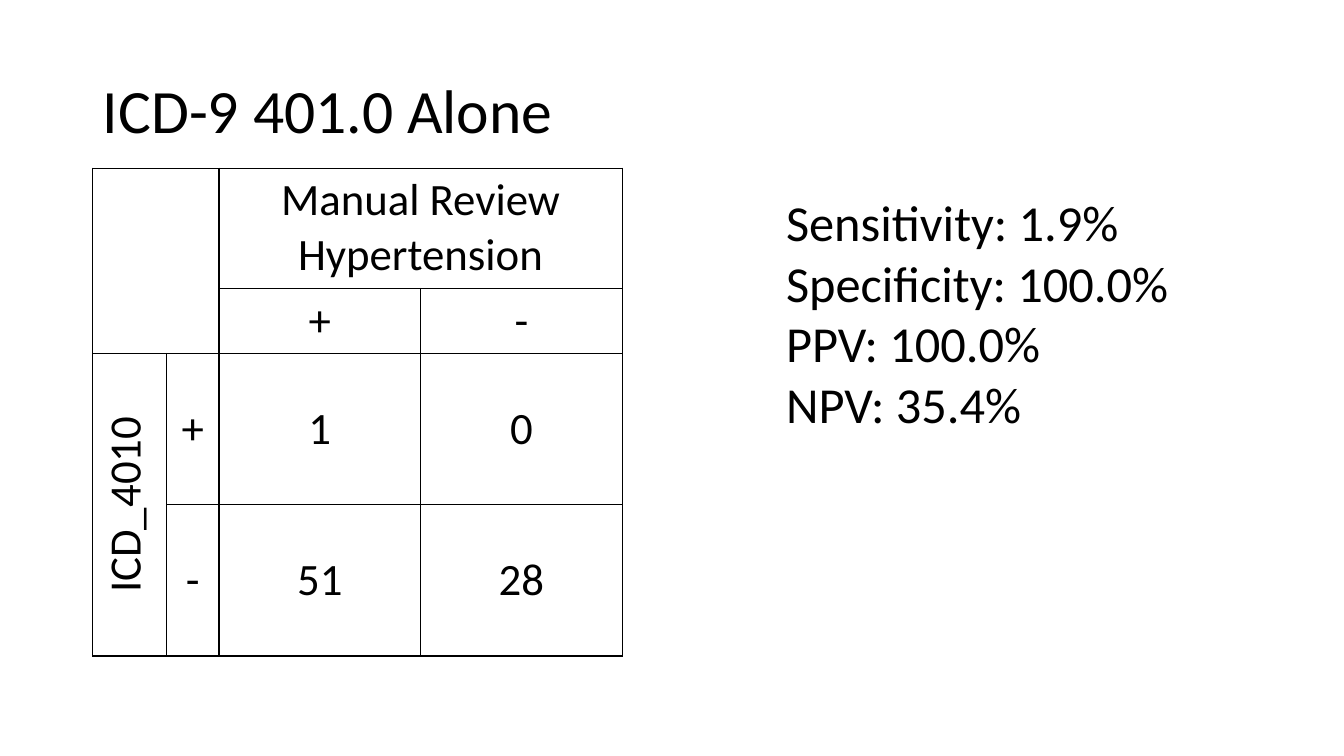
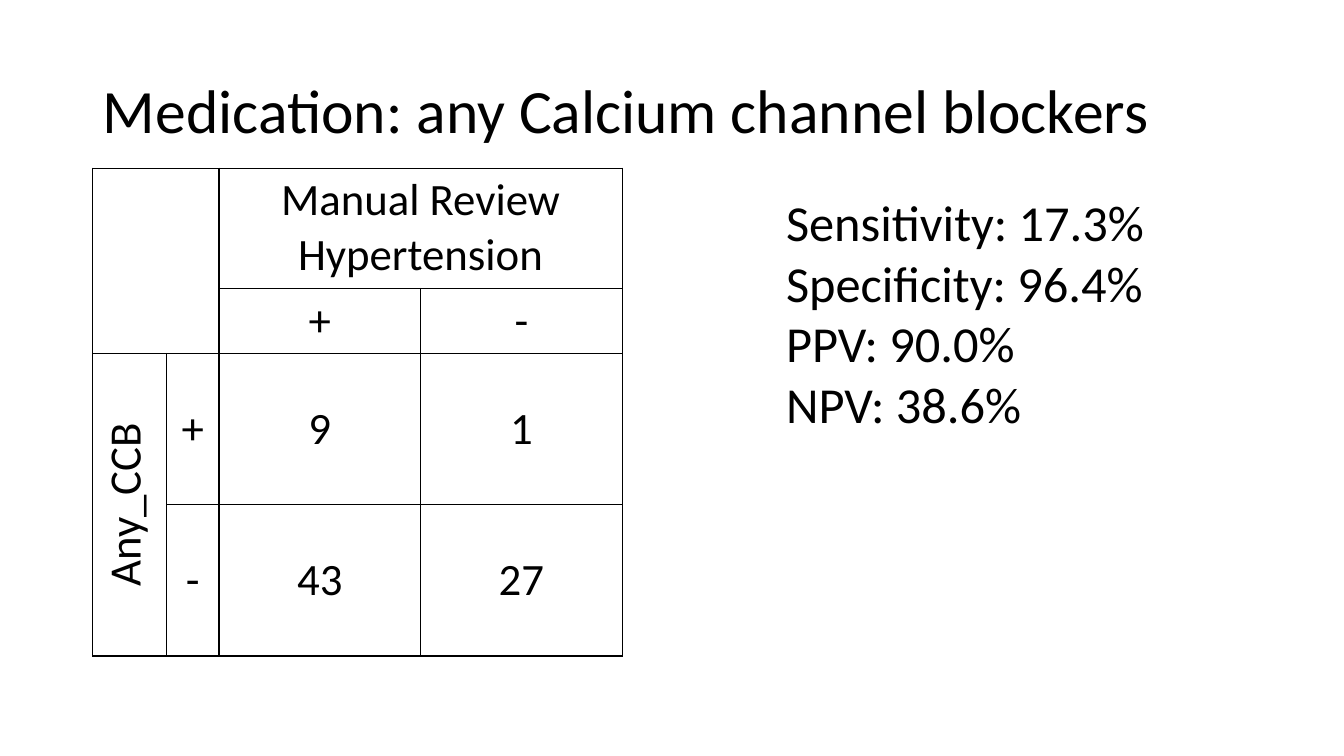
from dataclasses import dataclass

import pptx
import pptx.dml.color
import pptx.enum.text
import pptx.util
from lxml import etree
from pptx.oxml.ns import qn

Cm = pptx.util.Cm
Align = pptx.enum.text.PP_ALIGN
Anchor = pptx.enum.text.MSO_ANCHOR
AutoSize = pptx.enum.text.MSO_AUTO_SIZE

TESTS = [
    {"title": "ICD-9 401.0 Alone", "label": "ICD_4010", "counts": [(1, 0), (51, 28)]},
    {"title": "Medication: any Calcium channel blockers", "label": "Any_CCB", "counts": [(9, 1), (43, 27)]},
]
REFERENCE = "Manual Review Hypertension"
SIGNS = ("+", "-")

COLUMN_WIDTHS = (1.86, 1.32, 5.08, 5.08)
ROW_HEIGHTS = (3.03, 1.64, 3.81, 3.81)
MERGES = [((0, 0), (1, 1)), ((0, 2), (0, 3)), ((2, 0), (3, 0))]
LEFT = 2.34


@dataclass(frozen=True)
class Theme:
    font: str = "Calibri"
    ink: str = "000000"
    title_size: int = 44
    table_size: int = 32
    metric_size: int = 36
    border: float = 1


THEME = Theme()


def add_span(para, text, size):
    span = para.add_run()
    span.text = text
    span.font.name = THEME.font
    span.font.size = pptx.util.Pt(size)
    span.font.color.rgb = pptx.dml.color.RGBColor.from_string(THEME.ink)


def add_title(page, text):
    title = page.shapes.title
    title.left, title.top, title.width, title.height = Cm(LEFT), Cm(1.02), Cm(29.21), Cm(3.68)
    frame = title.text_frame
    frame.auto_size = AutoSize.NONE
    frame.vertical_anchor = Anchor.MIDDLE
    para = frame.paragraphs[0]
    para.alignment = Align.LEFT
    para.line_spacing = 0.9
    add_span(para, text, THEME.title_size)


def add_borders(cell):
    properties = cell._tc.get_or_add_tcPr()
    for index, side in enumerate(("a:lnL", "a:lnR", "a:lnT", "a:lnB")):
        line = etree.Element(qn(side), w=str(pptx.util.Pt(THEME.border)))
        fill = etree.SubElement(line, qn("a:solidFill"))
        etree.SubElement(fill, qn("a:srgbClr"), val=THEME.ink)
        properties.insert(index, line)


def table_texts(test):
    texts = {(0, 2): REFERENCE, (2, 0): test["label"]}
    for index, sign in enumerate(SIGNS):
        texts[1, 2 + index] = sign
        texts[2 + index, 1] = sign
        for column, count in enumerate(test["counts"][index]):
            texts[2 + index, 2 + column] = str(count)
    return texts


def add_counts_table(page, test):
    table = page.shapes.add_table(
        len(ROW_HEIGHTS), len(COLUMN_WIDTHS), Cm(LEFT), Cm(4.24),
        Cm(sum(COLUMN_WIDTHS)), Cm(sum(ROW_HEIGHTS)),
    ).table
    table.first_row = table.horz_banding = False
    for column, width in zip(table.columns, COLUMN_WIDTHS):
        column.width = Cm(width)
    for row, height in zip(table.rows, ROW_HEIGHTS):
        row.height = Cm(height)
    for first, last in MERGES:
        table.cell(*first).merge(table.cell(*last))
    for cell in table.iter_cells():
        cell.fill.background()
        add_borders(cell)
    for position, text in table_texts(test).items():
        cell = table.cell(*position)
        cell.vertical_anchor = Anchor.MIDDLE if position[0] else Anchor.TOP
        para = cell.text_frame.paragraphs[0]
        para.alignment = Align.CENTER
        add_span(para, text, THEME.table_size)
    table.cell(2, 0)._tc.get_or_add_tcPr().set("vert", "vert270")


def metrics(counts):
    (true_pos, false_pos), (false_neg, true_neg) = counts
    return [
        ("Sensitivity", true_pos / (true_pos + false_neg)),
        ("Specificity", true_neg / (true_neg + false_pos)),
        ("PPV", true_pos / (true_pos + false_pos)),
        ("NPV", true_neg / (true_neg + false_neg)),
    ]


def add_metrics(page, counts):
    box = page.shapes.add_textbox(Cm(19.56), Cm(4.7), Cm(10.26), Cm(6.4))
    frame = box.text_frame
    frame.word_wrap = True
    for index, (name, value) in enumerate(metrics(counts)):
        para = frame.add_paragraph() if index else frame.paragraphs[0]
        add_span(para, f"{name}: {value:.1%}", THEME.metric_size)


def main():
    deck = pptx.Presentation()
    deck.slide_width, deck.slide_height = Cm(33.87), Cm(19.05)
    title_only = deck.slide_layouts.get_by_name("Title Only")
    for test in TESTS:
        page = deck.slides.add_slide(title_only)
        add_title(page, test["title"])
        add_counts_table(page, test)
        add_metrics(page, test["counts"])
    deck.save("out.pptx")


if __name__ == "__main__":
    main()
